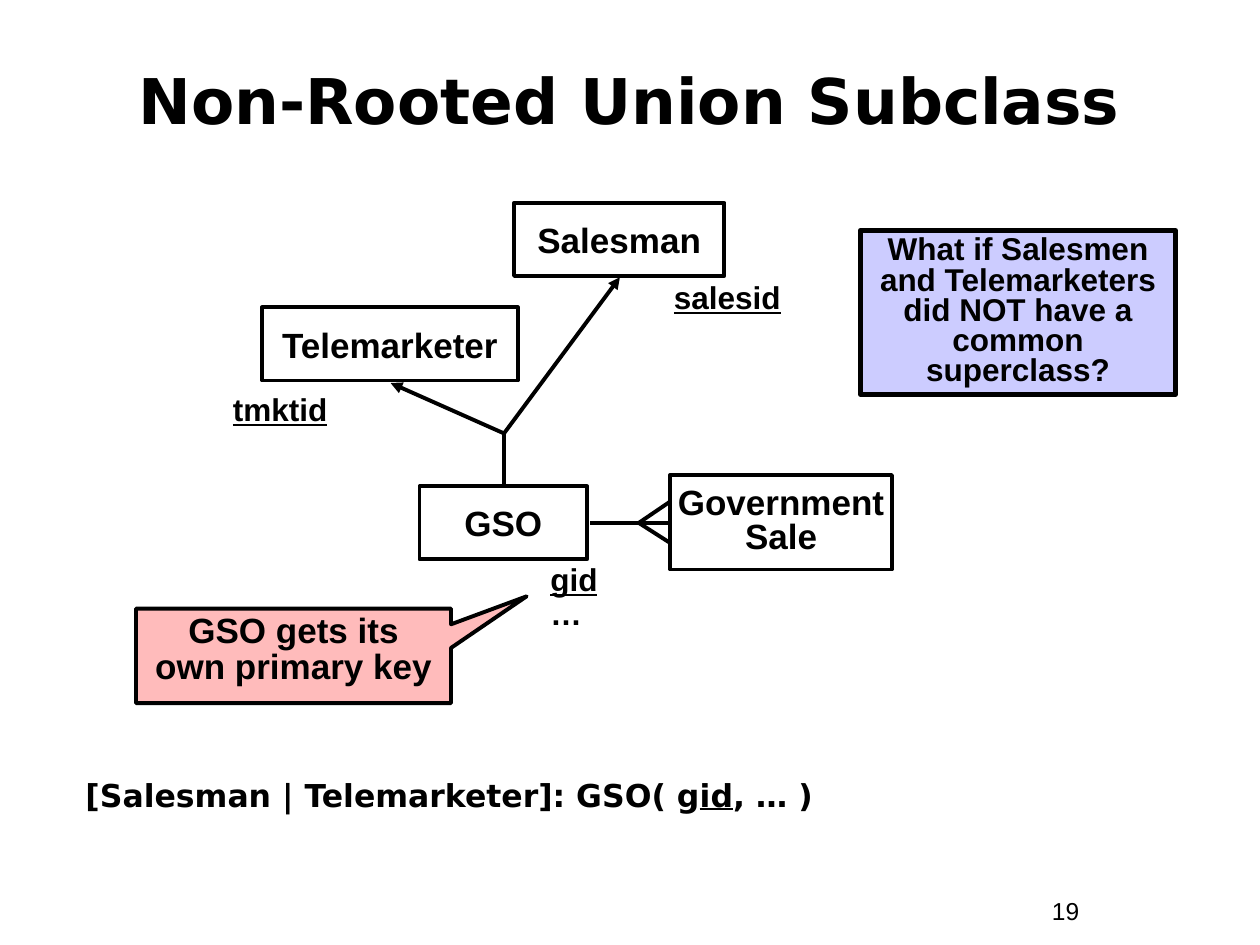
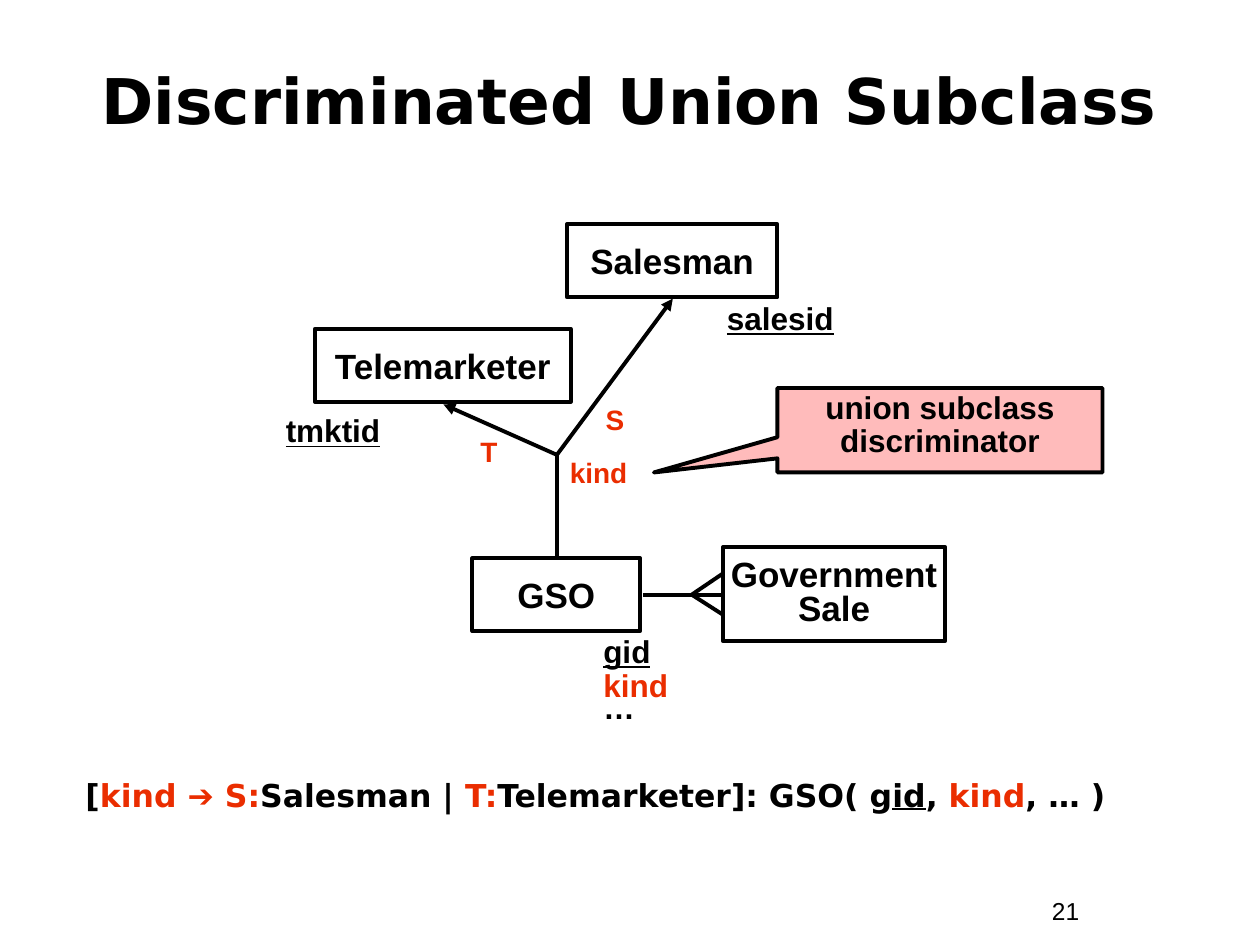
from dataclasses import dataclass
from typing import NamedTuple, Optional, Sequence

from lxml.etree import SubElement
from pptx import Presentation
from pptx.dml.color import RGBColor
from pptx.enum.shapes import MSO_CONNECTOR, MSO_SHAPE
from pptx.enum.text import MSO_ANCHOR, PP_ALIGN
from pptx.oxml.ns import qn
from pptx.util import Inches, Pt


@dataclass(frozen=True)
class Theme:
    ink: str = "000000"
    accent: str = "EA2D00"
    question_fill: str = "CCCCFF"
    callout_fill: str = "FFBBBB"
    heading_font: str = "DejaVu Sans"
    body_font: str = "Arial"
    title_size: float = 36
    entity_size: float = 20
    body_size: float = 18
    tag_size: float = 16
    number_size: float = 14
    line: float = 2.25
    thick_line: float = 3


THEME = Theme()


class Area(NamedTuple):
    left: float
    top: float
    width: float
    height: float

    def moved(self, dx: float, dy: float) -> "Area":
        return Area(self.left + dx, self.top + dy, self.width, self.height)


class Run(NamedTuple):
    text: str
    color: str = THEME.ink
    underline: bool = False
    font: Optional[str] = None


class Para(NamedTuple):
    runs: Sequence[Run]
    spacing: float = 1.0


class Entity(NamedTuple):
    name: str
    area: Area
    spacing: float = 1.0


class Link(NamedTuple):
    start: tuple[float, float]
    end: tuple[float, float]
    arrow: bool = False


class Callout(NamedTuple):
    text: str
    area: Area
    tip: tuple[float, float]
    size: float


class UnionSlide(NamedTuple):
    title: str
    number: str
    dx: float
    parents_dy: float
    child_dy: float
    child_attributes: Sequence[Para]
    formula: Sequence[Run]
    callout: Callout


TITLE = Area(0.33, 0.33, 9.33, 0.92)
NUMBER = Area(8.25, 7.06, 0.92, 0.34)
FORMULA = Area(0.58, 6.17, 9.08, 0.64)
CHILD_ATTRIBUTES = Area(4.27, 4.43, 1.07, 0.64)
JUNCTION = (4.0, 3.44)
CHILD_TOP = (4.0, 3.84)
FORK = (5.07, 4.15)

PARENTS = [
    Entity("Salesman", Area(4.08, 1.61, 1.67, 0.58)),
    Entity("Telemarketer", Area(2.08, 2.44, 2.03, 0.58)),
]
PARENT_KEYS = {
    "salesid": Area(5.25, 2.19, 1.67, 0.37),
    "tmktid": Area(1.75, 3.08, 1.67, 0.37),
}
PARENT_LINKS = [
    Link(JUNCTION, (3.1, 3.04), arrow=True),
    Link(JUNCTION, (4.92, 2.2), arrow=True),
]
CHILDREN = [
    Entity("GSO", Area(3.33, 3.86, 1.33, 0.58)),
    Entity("Government\vSale", Area(5.32, 3.77, 1.76, 0.75), spacing=0.8),
]
CHILD_LINKS = [
    Link((5.31, 4.15), (4.68, 4.15)),
    Link(FORK, (5.32, 3.98)),
    Link(FORK, (5.32, 4.31)),
]
QUESTION = "What if Salesmen and Telemarketers did NOT have a common superclass?"
QUESTION_AREA = Area(6.83, 1.83, 2.5, 1.3)
TAGS = {
    "kind": Area(4.25, 3.62, 1, 0.32),
    "S": Area(4.67, 3.2, 0.42, 0.32),
    "T": Area(3.67, 3.45, 0.42, 0.32),
}

GID = Para([Run("gid", underline=True)], 0.9)
UNION_SLIDES = [
    UnionSlide(
        "Non-Rooted Union Subclass", "19", dx=0, parents_dy=0, child_dy=0,
        child_attributes=[GID, Para([Run("…")], 0.9)],
        formula=[
            Run("[Salesman | Telemarketer]: GSO( g"),
            Run("id", underline=True),
            Run(", … )"),
        ],
        callout=Callout("GSO gets its own primary key", Area(1.08, 4.83, 2.5, 0.75),
                        (0.74, -0.63), THEME.entity_size),
    ),
    UnionSlide(
        "Discriminated Union Subclass", "21", dx=0.42, parents_dy=0.17, child_dy=0.57,
        child_attributes=[GID, Para([Run("kind", THEME.accent)], 0.9),
                          Para([Run("…")], 0.5)],
        formula=[
            Run("["),
            Run("kind ", THEME.accent),
            Run("➔", THEME.accent, font=THEME.body_font),
            Run(" S:", THEME.accent),
            Run("Salesman | "),
            Run("T:", THEME.accent),
            Run("Telemarketer]: GSO( g"),
            Run("id", underline=True),
            Run(", "),
            Run("kind", THEME.accent),
            Run(", … )"),
        ],
        callout=Callout("union subclass discriminator", Area(6.17, 3.08, 2.58, 0.67),
                        (-0.88, 0.5), THEME.body_size),
    ),
]


def write(sp, paras: Sequence[Para], *, size: float, font: str = THEME.body_font,
          bold: bool = True, align=PP_ALIGN.LEFT, anchor=MSO_ANCHOR.TOP,
          wrap: bool = True) -> None:
    tf = sp.text_frame
    tf.word_wrap = wrap
    tf.vertical_anchor = anchor
    for i, para in enumerate(paras):
        p = tf.add_paragraph() if i else tf.paragraphs[0]
        p.alignment = align
        p.line_spacing = para.spacing
        for run in para.runs:
            for j, text in enumerate(run.text.split("\v")):
                if j:
                    p.add_line_break()
                r = p.add_run()
                r.text = text
                r.font.name = run.font or font
                r.font.size = Pt(size)
                r.font.bold = bold
                r.font.underline = run.underline
                r.font.color.rgb = RGBColor.from_string(run.color)


def add_text(s, area: Area, paras: Sequence[Para], **fmt) -> None:
    write(s.shapes.add_textbox(*map(Inches, area)), paras, **fmt)


def add_box(s, area: Area, para: Para, *, kind=MSO_SHAPE.RECTANGLE,
            fill: Optional[str] = None, line: float = THEME.line,
            tip: Sequence[float] = (), **fmt) -> None:
    """Outlined box with centred text; tip places the point of a callout."""
    sp = s.shapes.add_shape(kind, *map(Inches, area))
    sp.shadow.inherit = False
    if fill:
        sp.fill.solid()
        sp.fill.fore_color.rgb = RGBColor.from_string(fill)
    else:
        sp.fill.background()
    sp.line.color.rgb = RGBColor.from_string(THEME.ink)
    sp.line.width = Pt(line)
    for i, value in enumerate(tip):
        sp.adjustments[i] = value
    write(sp, [para], align=PP_ALIGN.CENTER, **fmt)


def add_link(s, link: Link, dx: float, dy: float) -> None:
    (x1, y1), (x2, y2) = link.start, link.end
    ends = (x1 + dx, y1 + dy, x2 + dx, y2 + dy)
    cx = s.shapes.add_connector(MSO_CONNECTOR.STRAIGHT, *map(Inches, ends))
    cx.line.color.rgb = RGBColor.from_string(THEME.ink)
    cx.line.width = Pt(THEME.line)
    if link.arrow:
        SubElement(cx.line._get_or_add_ln(), qn("a:tailEnd"), type="triangle")
    SubElement(cx._element.spPr, qn("a:effectLst"))


def add_group(s, entities: Sequence[Entity], links: Sequence[Link],
              dx: float, dy: float) -> None:
    for link in links:
        add_link(s, link, dx, dy)
    for entity in entities:
        add_box(s, entity.area.moved(dx, dy), Para([Run(entity.name)], entity.spacing),
                size=THEME.entity_size, anchor=MSO_ANCHOR.MIDDLE, wrap=False)


def add_union_slide(prs, spec_: UnionSlide):
    s = prs.slides.add_slide(prs.slide_layouts[6])
    dx, up, down = spec_.dx, spec_.parents_dy, spec_.child_dy
    add_text(s, NUMBER, [Para([Run(spec_.number)])], size=THEME.number_size, bold=False)
    add_text(s, TITLE, [Para([Run(spec_.title)])], size=THEME.title_size,
             font=THEME.heading_font, align=PP_ALIGN.CENTER, anchor=MSO_ANCHOR.MIDDLE)

    add_group(s, CHILDREN, CHILD_LINKS, dx, down)
    add_group(s, PARENTS, PARENT_LINKS, dx, up)
    stem_end = (CHILD_TOP[0], CHILD_TOP[1] + down - up)
    add_link(s, Link(JUNCTION, stem_end), dx, up)

    for key, area in PARENT_KEYS.items():
        add_text(s, area.moved(dx, up), [Para([Run(key, underline=True)], 0.9)],
                 size=THEME.body_size)
    add_text(s, CHILD_ATTRIBUTES.moved(dx, down), spec_.child_attributes,
             size=THEME.body_size)
    add_text(s, FORMULA, [Para(spec_.formula, 0.8)], size=THEME.body_size,
             font=THEME.heading_font)

    note = spec_.callout
    add_box(s, note.area, Para([Run(note.text)], 0.85), size=note.size, tip=note.tip,
            kind=MSO_SHAPE.RECTANGULAR_CALLOUT, fill=THEME.callout_fill)
    return s


def main() -> None:
    prs = Presentation()
    prs.slide_width, prs.slide_height = Inches(10), Inches(7.5)
    non_rooted, discriminated = [add_union_slide(prs, u) for u in UNION_SLIDES]
    add_box(non_rooted, QUESTION_AREA, Para([Run(QUESTION)], 0.8), size=THEME.body_size,
            fill=THEME.question_fill, line=THEME.thick_line)
    for tag, area in TAGS.items():
        add_text(discriminated, area, [Para([Run(tag, THEME.accent)], 0.8)],
                 size=THEME.tag_size, align=PP_ALIGN.CENTER)
    prs.save("out.pptx")


if __name__ == "__main__":
    main()
